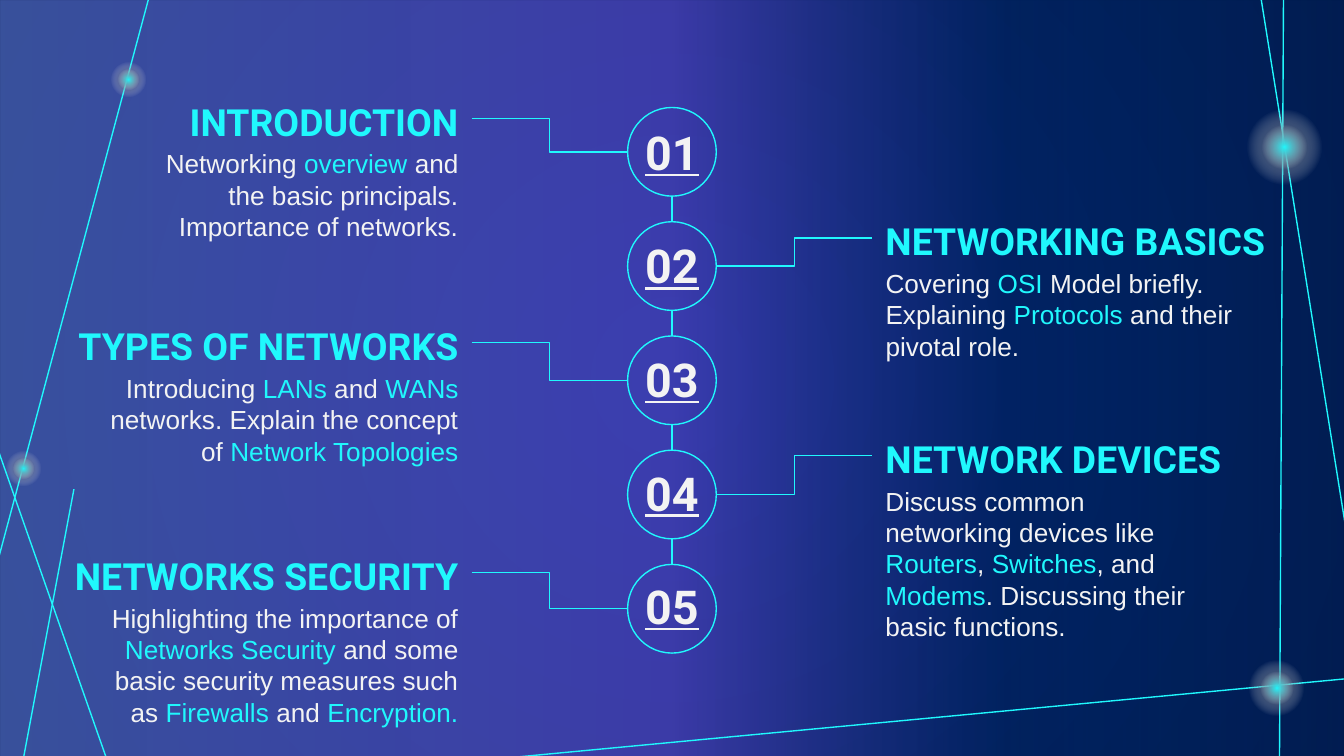
"""Build the agenda slide: five numbered networking topics along a central chain."""
import pptx
import pptx.dml.color
import pptx.enum.shapes
import pptx.enum.text
import pptx.oxml
import pptx.oxml.ns
import pptx.util
from pptx.util import Inches

RGBColor = pptx.dml.color.RGBColor
CYAN = RGBColor(0x20, 0xF8, 0xFD)
WHITE = RGBColor(0xF3, 0xF3, 0xF3)
NAVY = RGBColor(0x01, 0x20, 0x60)
MIDNIGHT = RGBColor(0x00, 0x18, 0x3A)
PERIWINKLE = RGBColor(0x74, 0x8B, 0xFF)
VIOLET = RGBColor(0x76, 0x59, 0xFF)
ROYAL = RGBColor(0x02, 0x2E, 0x88)

ALIGN = pptx.enum.text.PP_ALIGN
ANCHOR = pptx.enum.text.MSO_ANCHOR
SHAPE = pptx.enum.shapes.MSO_SHAPE
CONNECTOR = pptx.enum.shapes.MSO_CONNECTOR

WIDTH = 10
HEIGHT = WIDTH * 9 / 16

# Topics: heading, summary with *highlights*, side, heading top, heading width, summary size
TOPICS = [
    ("INTRODUCTION",
     "Networking *overview* and the basic principals. Importance of networks.",
     "left", 0.59, 2.72, (2.56, 0.66)),
    ("NETWORKING BASICS",
     "Covering *OSI* Model briefly. Explaining *Protocols* and their pivotal role.",
     "right", 1.48, 3.26, (3.09, 0.66)),
    ("TYPES OF NETWORKS",
     "Introducing *LANs* and *WANs *networks. Explain the concept of *Network Topologies*",
     "left", 2.26, 3.09, (2.84, 0.86)),
    ("NETWORK DEVICES",
     "Discuss common networking devices like *Routers*, *Switches*, and *Modems*."
     " Discussing their basic functions.",
     "right", 3.1, 2.8, (2.56, 1.34)),
    ("NETWORKS SECURITY",
     "Highlighting the importance of *Networks Security *and some basic security"
     " measures such as *Firewalls* and *Encryption.*",
     "left", 3.97, 3.18, (2.93, 1.1)),
]
RAYS = [
    (9.38, -0.03, 10.02, 3.97), (9.55, -0.06, 9.52, 5.73), (3.77, 5.64, 10.13, 5.04),
    (-0.01, 3.36, 0.83, 5.75), (0.16, 5.72, 0.55, 3.64), (1.13, -0.1, -0.01, 4.15),
]
GLOWS = [(9.16, 0.7, 0.79), (9.21, 4.83, 0.58), (-0.01, 3.3, 0.37), (0.77, 0.41, 0.37)]
WASH = [(0, PERIWINKLE, 49), (50, VIOLET, 50), (75, ROYAL, 35), (100, NAVY, 60)]

CENTER = WIDTH / 2
RING, RING_TOP, RING_STEP = 0.66, 0.8, 0.85
NUMBER_TOP, NUMBER_STEP = 0.82, 3.38 / 4
NUMBER_WIDTH, NUMBER_HEIGHT = 1.14, 0.61
HEADING_HEIGHT, SUMMARY_DROP = 0.58, 0.41
EDGES = {"left": 3.51, "right": 6.49}

RADIAL = '<a:path path="circle"><a:fillToRect l="50000" t="50000" r="50000" b="50000"/></a:path>'
LINEAR = '<a:lin ang="0" scaled="0"/>'


def paint_gradient(owner, stops, direction):
    owner.fill.solid()
    solid = next(owner.element.iter(pptx.oxml.ns.qn("a:solidFill")))
    marks = "".join(
        f'<a:gs pos="{place * 1000}"><a:srgbClr val="{color}">'
        f'<a:alpha val="{opacity * 1000}"/></a:srgbClr></a:gs>'
        for place, color, opacity in stops)
    gradient = pptx.oxml.parse_xml(
        f'<a:gradFill {pptx.oxml.ns.nsdecls("a")} rotWithShape="1">'
        f'<a:gsLst>{marks}</a:gsLst>{direction}</a:gradFill>')
    solid.getparent().replace(solid, gradient)


def add_plain(slide, kind, left, top, width, height):
    shape = slide.shapes.add_shape(
        kind, Inches(left), Inches(top), Inches(width), Inches(height))
    shape.shadow.inherit = False
    return shape


def add_line(slide, kind, *ends):
    line = slide.shapes.add_connector(kind, *[Inches(end) for end in ends])
    line.line.color.rgb = CYAN
    line.line.width = pptx.util.Pt(0.75)
    properties = line.element.spPr
    properties.append(properties.makeelement(pptx.oxml.ns.qn("a:effectLst"), {}))


def add_text(slide, box, text, size, font, colors, align,
             anchor=ANCHOR.TOP, bold=False, underline=False):
    frame = slide.shapes.add_textbox(*[Inches(length) for length in box]).text_frame
    frame.word_wrap = True
    frame.vertical_anchor = anchor
    frame.margin_left = frame.margin_right = Inches(0.1)
    frame.margin_top = frame.margin_bottom = Inches(0.1)
    paragraph = frame.paragraphs[0]
    paragraph.alignment = align
    for index, part in enumerate(text.split("*")):
        if part:
            run = paragraph.add_run()
            run.text = part
            run.font.size = pptx.util.Pt(size)
            run.font.name = font
            run.font.bold = bold
            run.font.underline = underline
            run.font.color.rgb = colors[index % 2]


def add_backdrop(slide):
    paint_gradient(slide.background, [(0, NAVY, 100), (100, MIDNIGHT, 100)], RADIAL)
    wash = add_plain(slide, SHAPE.RECTANGLE, 0, 0, WIDTH, HEIGHT)
    paint_gradient(wash, WASH, LINEAR)
    wash.line.fill.background()
    for ray in RAYS:
        add_line(slide, CONNECTOR.STRAIGHT, *ray)
    for left, top, diameter in GLOWS:
        for scale, core in ((1, MIDNIGHT), (0.6, CYAN)):
            size = diameter * scale
            inset = (diameter - size) / 2
            glow = add_plain(slide, SHAPE.OVAL, left + inset, top + inset, size, size)
            paint_gradient(glow, [(0, core, 100), (50, WHITE, 0), (100, WHITE, 0)], RADIAL)
            glow.line.fill.background()


def add_topic(slide, index, topic):
    heading, summary, side, top, heading_width, (width, height) = topic
    on_left = side == "left"
    edge = EDGES[side]
    align = ALIGN.RIGHT if on_left else ALIGN.LEFT
    add_text(slide, (CENTER - NUMBER_WIDTH / 2, NUMBER_TOP + index * NUMBER_STEP,
                     NUMBER_WIDTH, NUMBER_HEIGHT),
             f"{index + 1:02}", 25, "Roboto", (WHITE, CYAN), ALIGN.CENTER,
             bold=True, underline=True)
    add_text(slide, (edge - heading_width * on_left, top, heading_width, HEADING_HEIGHT),
             heading, 20, "Roboto", (CYAN, WHITE), align, anchor=ANCHOR.BOTTOM, bold=True)
    add_text(slide, (edge - width * on_left, top + SUMMARY_DROP, width, height),
             summary, 14, "Arial", (WHITE, CYAN), align)

    ring_top = RING_TOP + index * RING_STEP
    ring = add_plain(slide, SHAPE.OVAL, CENTER - RING / 2, ring_top, RING, RING)
    ring.fill.background()
    ring.line.color.rgb = CYAN
    ring.line.width = pptx.util.Pt(0.75)
    if index:
        add_line(slide, CONNECTOR.STRAIGHT,
                 CENTER, ring_top - RING_STEP + RING, CENTER, ring_top)
    heading_end = (edge, top + HEADING_HEIGHT / 2)
    ring_end = (CENTER + RING / 2 * (-1 if on_left else 1), ring_top + RING / 2)
    ends = heading_end + ring_end if on_left else ring_end + heading_end
    add_line(slide, CONNECTOR.ELBOW, *ends)


def main():
    deck = pptx.Presentation()
    deck.slide_width, deck.slide_height = Inches(WIDTH), Inches(HEIGHT)
    slide = deck.slides.add_slide(deck.slide_layouts[6])
    add_backdrop(slide)
    for index, topic in enumerate(TOPICS):
        add_topic(slide, index, topic)
    deck.save("out.pptx")


if __name__ == "__main__":
    main()
